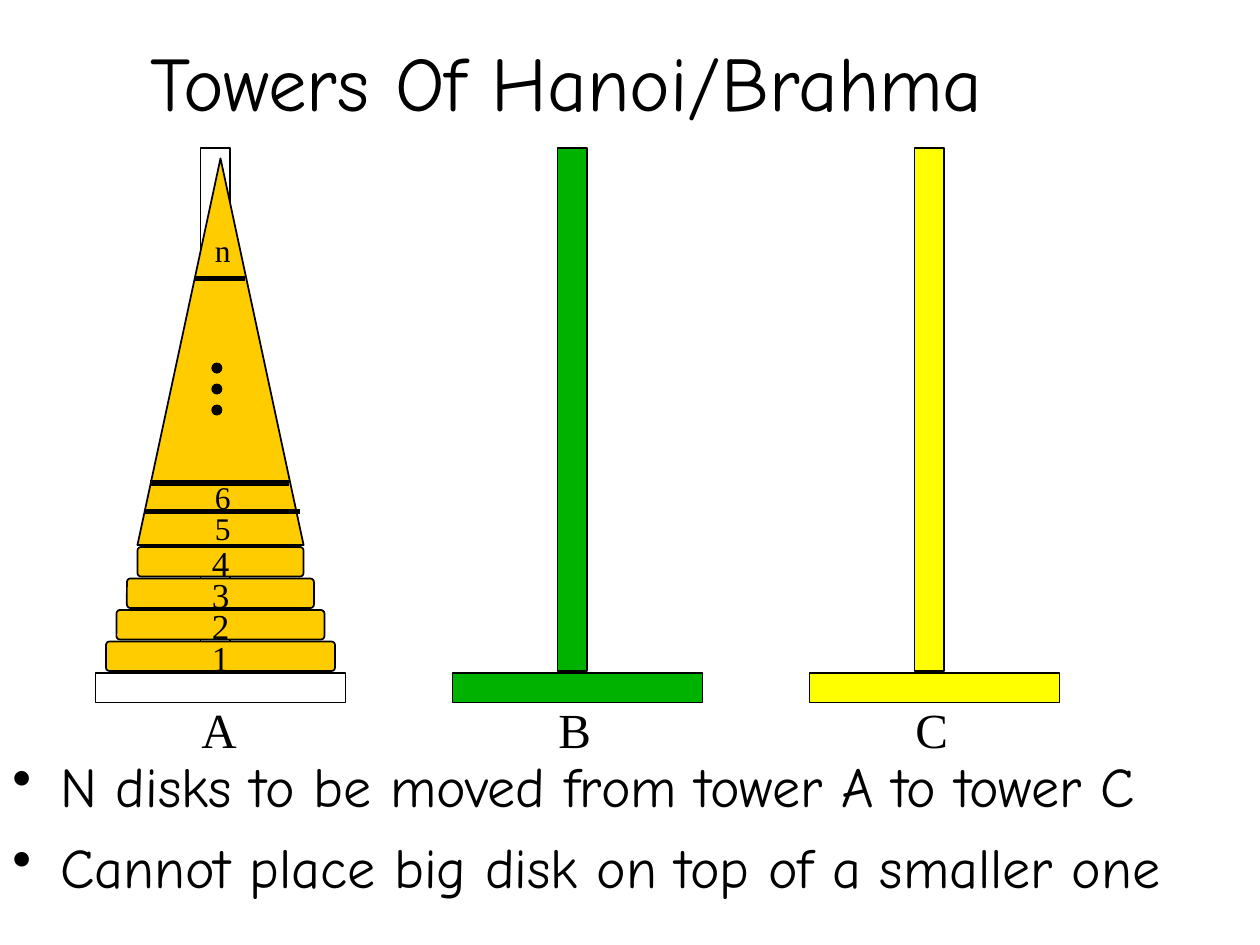
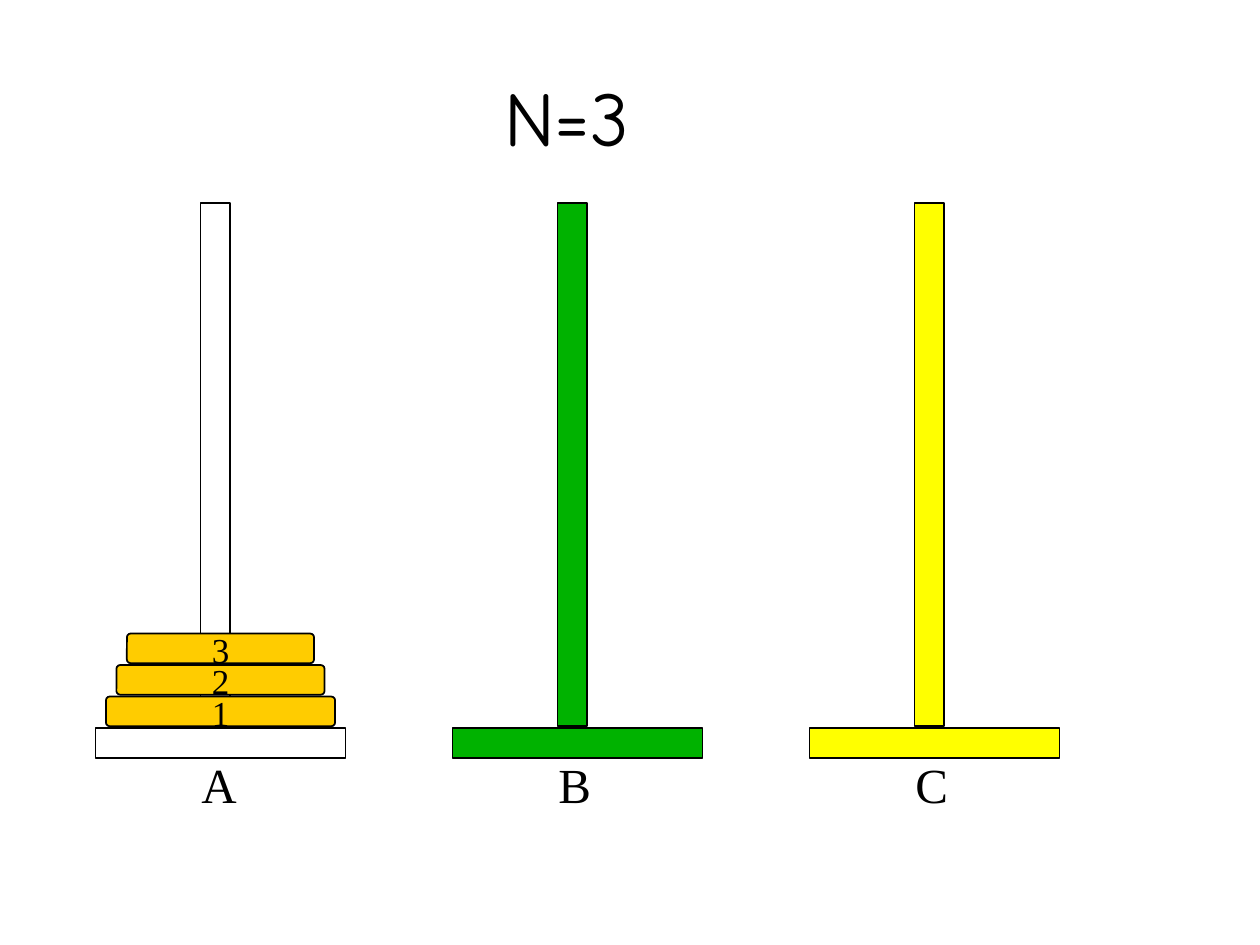
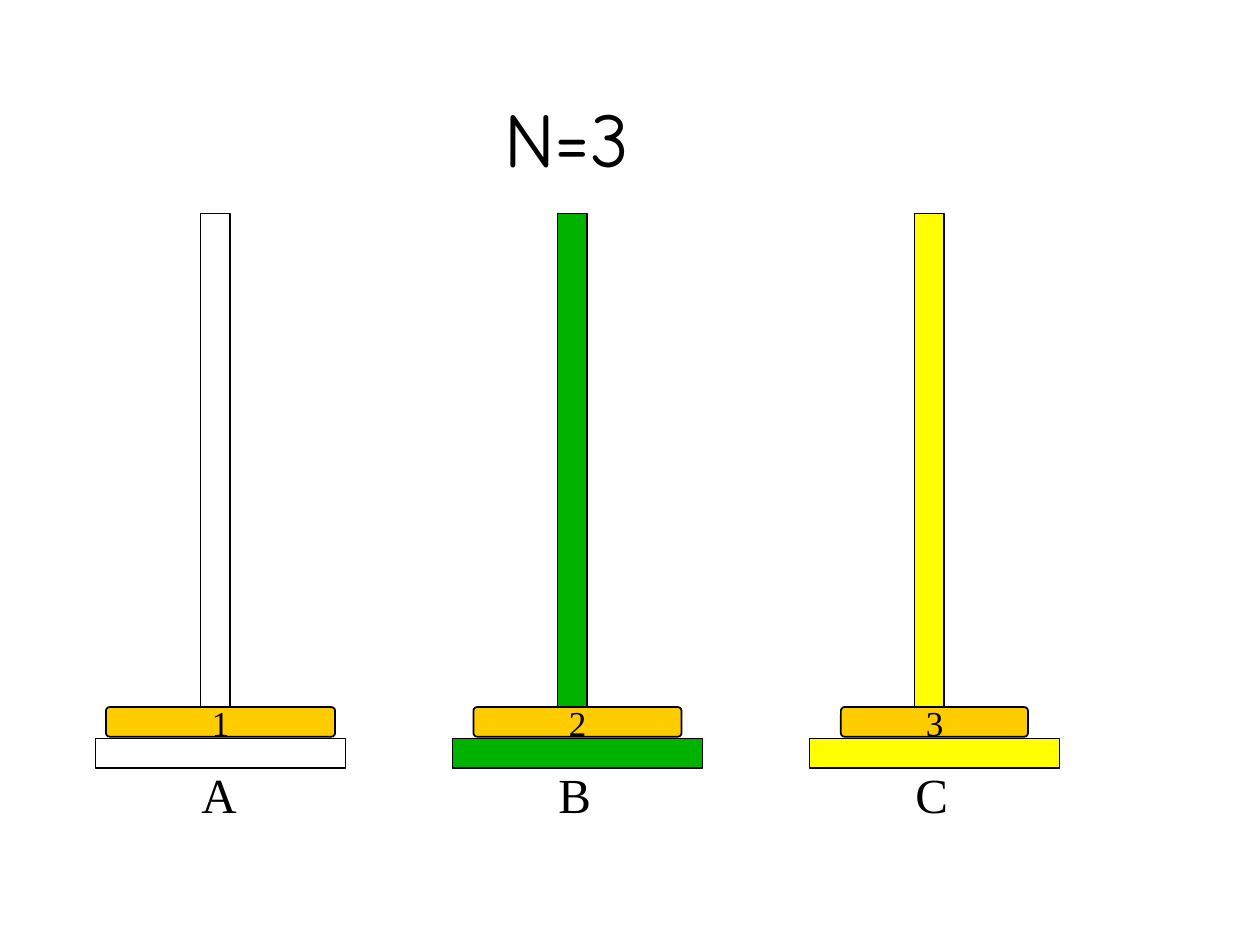
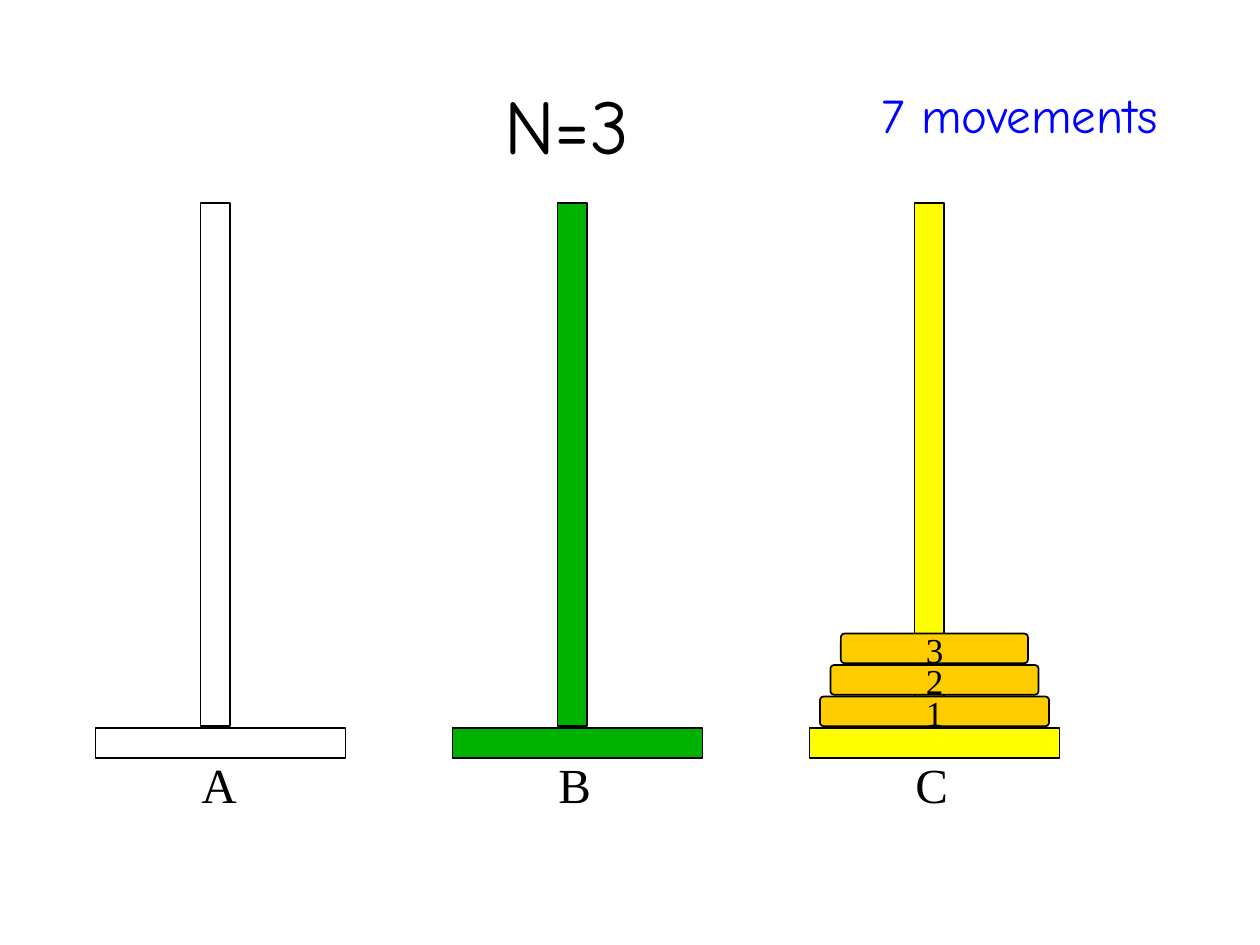
import pptx
import pptx.util
import pptx.dml.color
import pptx.enum.shapes
import pptx.enum.text
import pptx.oxml
import pptx.oxml.ns
from lxml import etree

RGBColor = pptx.dml.color.RGBColor
SHAPE = pptx.enum.shapes.MSO_SHAPE
ALIGN = pptx.enum.text.PP_ALIGN
ANCHOR = pptx.enum.text.MSO_ANCHOR
AUTO_SIZE = pptx.enum.text.MSO_AUTO_SIZE

BLACK = RGBColor(0x00, 0x00, 0x00)
WHITE = RGBColor(0xFF, 0xFF, 0xFF)
GREEN = RGBColor(0x00, 0xB2, 0x00)
YELLOW = RGBColor(0xFF, 0xFF, 0x00)
GOLD = RGBColor(0xFF, 0xCC, 0x00)
BLUE = RGBColor(0x00, 0x00, 0xFF)

HAND_FONT = "Comic Neue"
LABEL_FONT = "Times New Roman"

# The slide is a grid of 120 columns by 90 rows, 12 to the inch.
CELLS_PER_INCH = 12
TRIM = 0.18  # cells left free between neighbouring parts

TOWERS = (("A", WHITE), ("B", GREEN), ("C", YELLOW))
FIRST_TOWER = 9
TOWER_STEP = 34
TOWER_WIDTH = 24
POLE_HEIGHT = 50
LEVEL = 3


def cells(count):
    return pptx.util.Inches(count / CELLS_PER_INCH)


def add_text(parent, text, box, *, size, font=LABEL_FONT, color=BLACK,
             align=ALIGN.LEFT, anchor=ANCHOR.TOP, bullet=False, space_before=0,
             grow=True):
    """Add a text box with one paragraph for each line of text."""
    shape = parent.shapes.add_textbox(*map(cells, box))
    frame = shape.text_frame
    frame.word_wrap = True
    frame.auto_size = AUTO_SIZE.SHAPE_TO_FIT_TEXT if grow else AUTO_SIZE.NONE
    frame.vertical_anchor = anchor
    for index, line in enumerate(text.split("\n")):
        paragraph = frame.add_paragraph() if index else frame.paragraphs[0]
        paragraph.text = line
        paragraph.alignment = align
        if index:
            paragraph.space_before = pptx.util.Pt(space_before)
        if bullet:
            add_bullet(paragraph)
        paragraph.font.size = pptx.util.Pt(size)
        paragraph.font.name = font
        paragraph.font.color.rgb = color
    return shape


def add_bullet(paragraph):
    indent = pptx.util.Inches(0.38)
    properties = paragraph._p.get_or_add_pPr()
    properties.set("marL", str(indent))
    properties.set("indent", str(-indent))
    mark = etree.SubElement(properties, pptx.oxml.ns.qn("a:buChar"))
    mark.set("char", "•")


def add_part(parent, kind, box, fill, line_width=1):
    """Add an outlined shape, trimmed to leave a hairline between neighbours."""
    left, top, width, height = box
    shape = parent.shapes.add_shape(
        kind, cells(left + TRIM / 2), cells(top + TRIM / 2),
        cells(width - TRIM), cells(height - TRIM))
    shape.shadow.inherit = False
    shape.fill.solid()
    shape.fill.fore_color.rgb = fill
    shape.line.color.rgb = BLACK
    shape.line.width = pptx.util.Pt(line_width)
    return shape


def add_divider(slide, left, right, row):
    connector = slide.shapes.add_connector(
        pptx.enum.shapes.MSO_CONNECTOR.STRAIGHT,
        cells(left), cells(row), cells(right), cells(row))
    connector.line.color.rgb = BLACK
    connector.line.width = pptx.util.Pt(3)
    etree.SubElement(connector._element.spPr, pptx.oxml.ns.qn("a:effectLst"))


def add_title(slide, text, height):
    add_text(slide, text, (9, 2, 90, height), size=44, font=HAND_FONT,
             align=ALIGN.CENTER, anchor=ANCHOR.BOTTOM, grow=False)


def add_tower(slide, left, top, name, color):
    """Base, pole and name below."""
    group = slide.shapes.add_group_shape()
    base = top + POLE_HEIGHT
    add_part(group, SHAPE.RECTANGLE, (left, base, TOWER_WIDTH, LEVEL), color)
    add_part(group, SHAPE.RECTANGLE, (left + 10, top, LEVEL, POLE_HEIGHT), color)
    add_text(group, name, (left + 9, base + 2, 12, 6.8), size=28)


def add_disk(slide, left, top, number, level):
    """Disk 1 is the widest; each next one is a cell shorter at both ends."""
    group = slide.shapes.add_group_shape()
    row = top + POLE_HEIGHT - LEVEL * level
    disk = add_part(group, SHAPE.ROUNDED_RECTANGLE,
                    (left + number, row, TOWER_WIDTH - 2 * number, LEVEL), GOLD)
    disk.adjustments[0] = 0.125
    add_text(group, str(number), (left + 10, row - 1, 9, 5.2), size=20)


def add_cone(slide, left, top):
    """The triangle that stands for disks 5 to n."""
    add_part(slide, SHAPE.ISOSCELES_TRIANGLE, (left + 4, top + 1, 16, 37), GOLD)
    for start, end, row in ((4.7, 19.6, 34.75), (5.25, 18.5, 32), (9.6, 14.3, 12.5)):
        add_divider(slide, left + start, left + end, top + row)
    for index in range(3):
        add_part(slide, SHAPE.OVAL,
                 (left + 11.1, top + 20.5 + 2 * index, 1.1, 1.1), BLACK, 0.75)
    for label, row in (("5", 33.9), ("6", 30.9), ("n", 7.4)):
        add_text(slide, label, (left + 10.3, top + row, 7.5, 4.8), size=18)


def add_towers_slide(presentation, title, title_height, top, stacks):
    """One slide of three towers; stacks lists each tower's disks, bottom first."""
    slide = presentation.slides.add_slide(presentation.slide_layouts[6])
    add_title(slide, title, title_height)
    lefts = [FIRST_TOWER + TOWER_STEP * index for index in range(len(TOWERS))]
    for left, (name, color) in zip(lefts, TOWERS):
        add_tower(slide, left, top, name, color)
    for left, stack in zip(lefts, stacks):
        for level, number in enumerate(stack, start=1):
            add_disk(slide, left, top, number, level)
    return slide


def main():
    presentation = pptx.Presentation()
    presentation.slide_width = cells(120)
    presentation.slide_height = cells(90)

    # The problem, with its rules below the towers
    top = 14
    slide = add_towers_slide(presentation, "Towers Of Hanoi/Brahma", 10.7, top,
                             ((1, 2, 3, 4), (), ()))
    add_cone(slide, FIRST_TOWER, top)
    add_text(slide,
             "N disks to be moved from tower A to tower C\n"
             "Cannot place big disk on top of a smaller one",
             (0, 71, 123, 19), size=32, font=HAND_FONT, bullet=True,
             space_before=8, grow=False)

    # Three disks: start, midway and finish
    add_towers_slide(presentation, "N=3", 14, 19.25, ((1, 2, 3), (), ()))
    add_towers_slide(presentation, "N=3", 16, 20.25, ((1,), (2,), (3,)))
    slide = add_towers_slide(presentation, "N=3", 14.8, 19.25, ((), (), (1, 2, 3)))
    add_text(slide, "7 movements", (82.8, 7.5, 34, 6.8), size=28,
             font=HAND_FONT, color=BLUE)

    presentation.save("out.pptx")


if __name__ == "__main__":
    main()
